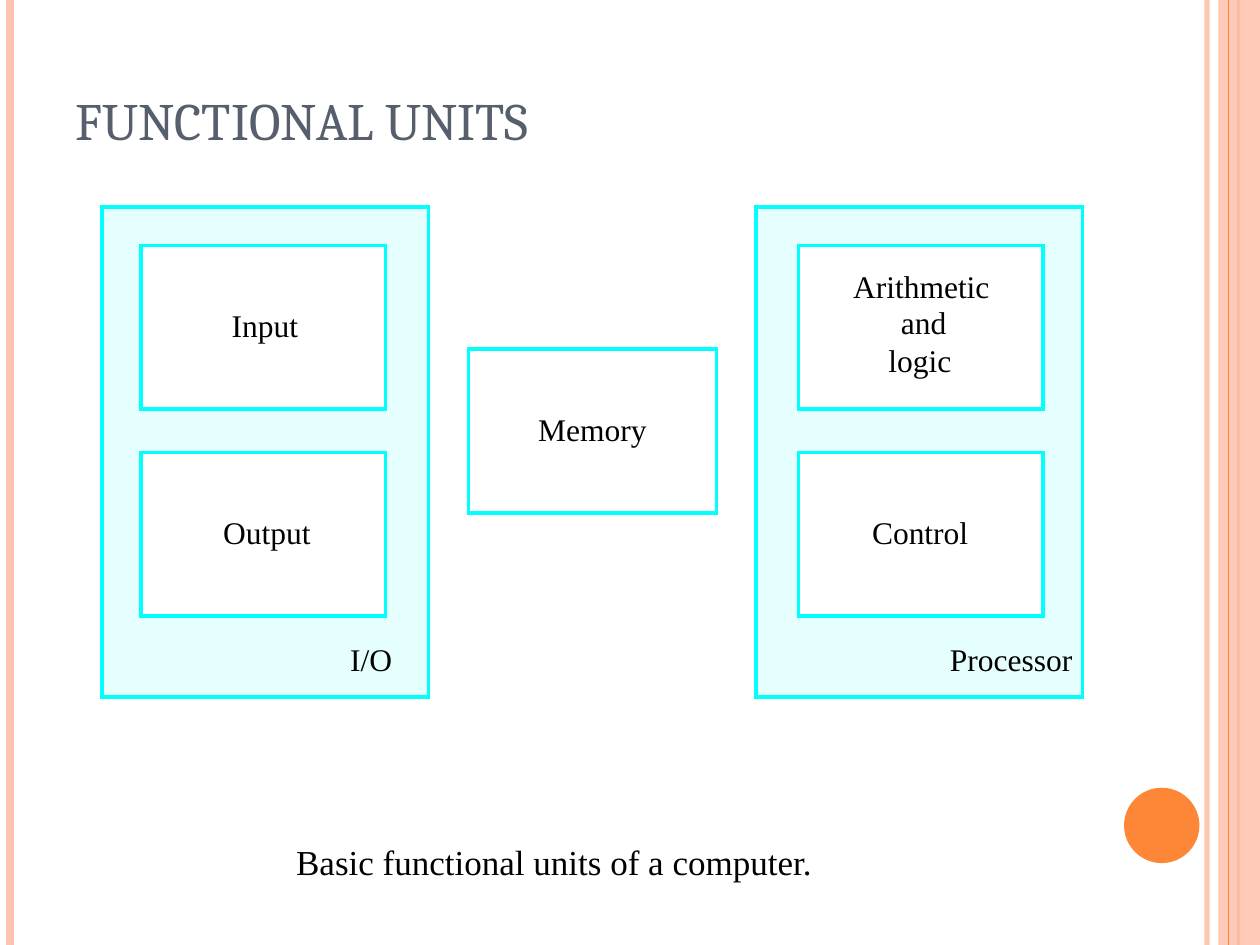
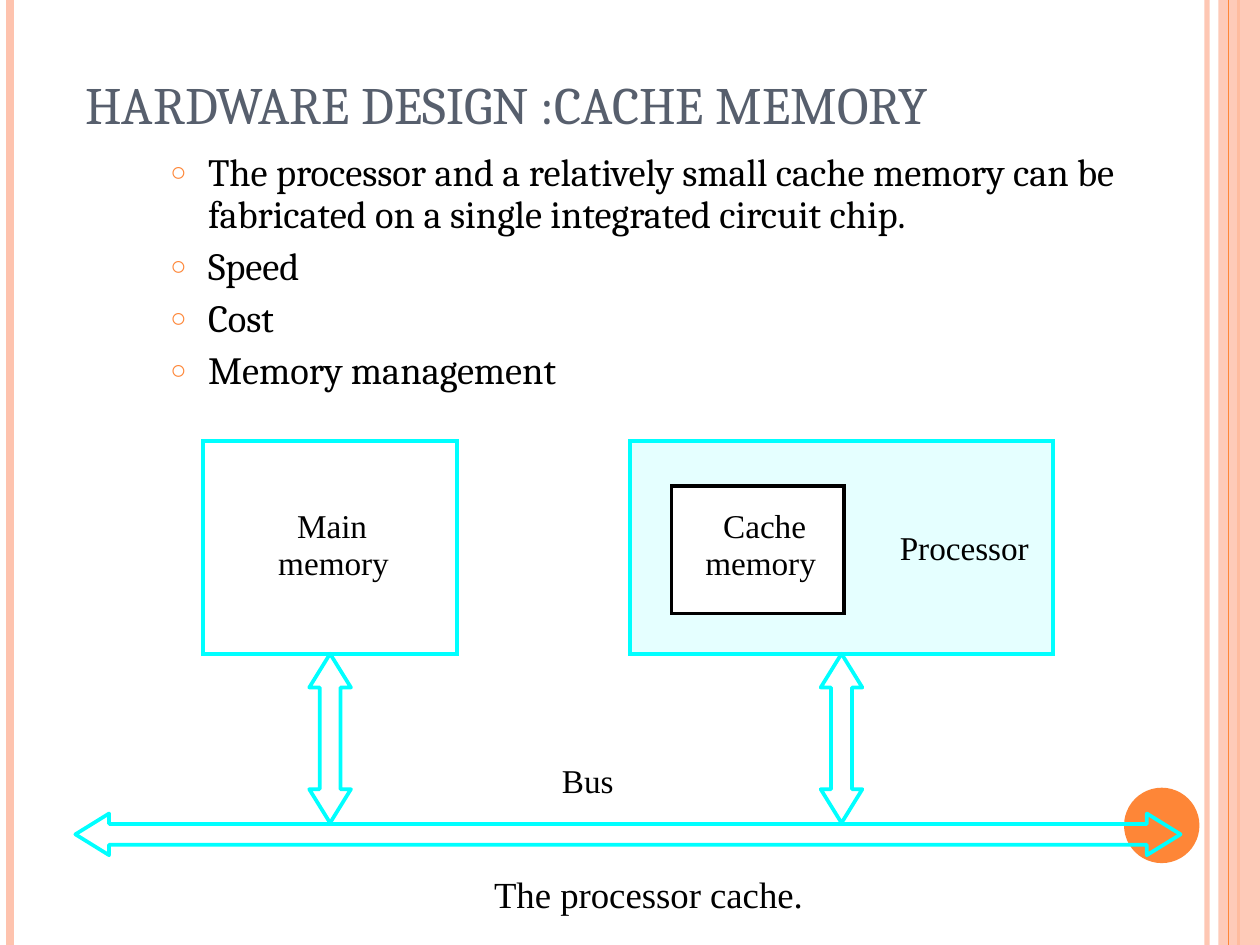
import pptx
import pptx.dml.color
import pptx.enum.shapes
import pptx.enum.text
import pptx.oxml
import pptx.oxml.ns
import pptx.util
from dataclasses import dataclass

Cm = pptx.util.Cm
Pt = pptx.util.Pt
Shape = pptx.enum.shapes.MSO_SHAPE
Anchor = pptx.enum.text.MSO_ANCHOR


@dataclass(frozen=True)
class Theme:
    peach: str = "FEC3AE"
    orange: str = "FE8637"
    slate: str = "575F6D"
    cyan: str = "00FFFF"
    ice: str = "E5FFFF"
    white: str = "FFFFFF"
    black: str = "000000"
    heading_font: str = "Cambria"
    label_font: str = "Times New Roman"
    title_size: int = 30
    body_size: int = 22


THEME = Theme()
WIDTH, HEIGHT = 25.4, 19.05
LABEL_SLACK = 0.2

UNITS = {
    "title": "FUNCTIONAL UNITS",
    "title_place": (1.27, 0, 20.75, 3.18),
    "outline": 2,
    "label_size": 18,
    "labels": [
        ("Input", 4.67, 6.17, 1.35),
        ("Output", 4.5, 10.34, 1.78),
        ("I/O", 7.06, 12.9, 0.84),
        ("Memory", 10.85, 8.26, 2.18),
        ("Arithmetic", 17.2, 5.38, 2.74),
        ("and", 18.16, 6.1, 0.91),
        ("logic", 17.91, 6.88, 1.27),
        ("Control", 17.58, 10.34, 1.93),
        ("Processor", 19.15, 12.9, 2.46),
    ],
    "caption": ("Basic functional units of a computer.", 5.97, 16.94, 10.44),
    "caption_size": 20,
}

CACHE = {
    "title": "HARDWARE DESIGN :CACHE MEMORY",
    "title_place": (1.47, 1.27, 20.75, 1.57),
    "bullets": [
        "The processor and a relatively small cache memory can be "
        "fabricated on a single integrated circuit chip.",
        "Speed",
        "Cost",
        "Memory management",
    ],
    "bullets_place": (1.91, 2.97, 21.39, 5.51),
    "outline": 2.13,
    "label_size": 19,
    "labels": [
        ("Main", 5.99, 10.19, 1.42),
        ("memory", 5.61, 10.94, 2.24),
        ("Cache", 14.58, 10.19, 1.68),
        ("memory", 14.22, 10.94, 2.24),
        ("Processor", 18.14, 10.62, 2.59),
        ("Bus", 11.33, 15.32, 1.04),
    ],
    "caption": ("The processor cache.", 9.96, 17.58, 6.22),
    "caption_size": 21,
}


def rgb(color):
    return pptx.dml.color.RGBColor.from_string(color)


def add_child(parent, tag, **attributes):
    child = parent.makeelement(pptx.oxml.ns.qn(tag), attributes)
    parent.append(child)
    return child


def set_alpha(shape, percent):
    color = shape._element.spPr.find(".//" + pptx.oxml.ns.qn("a:srgbClr"))
    add_child(color, "a:alpha", val=str(percent * 1000))


def paint(shape, fill=None, line=None, width=2):
    shape.shadow.inherit = False
    if fill:
        shape.fill.solid()
        shape.fill.fore_color.rgb = rgb(fill)
    else:
        shape.fill.background()
    if line:
        shape.line.color.rgb = rgb(line)
        shape.line.width = Pt(width)
    else:
        shape.line.fill.background()


def draw_shape(page, kind, place, fill=None):
    shape = page.shapes.add_shape(kind, *map(Cm, place))
    paint(shape, fill)
    return shape


def draw_block(page, place, fill, line, width):
    block = draw_shape(page, Shape.RECTANGLE, place)
    paint(block, fill, line, width)
    outline = block._element.spPr.find(pptx.oxml.ns.qn("a:ln"))
    add_child(outline, "a:miter", lim="800000")


def draw_rule(page, left, color, width):
    rule = page.shapes.add_connector(
        pptx.enum.shapes.MSO_CONNECTOR.STRAIGHT, Cm(left), 0, Cm(left), Cm(HEIGHT))
    rule.line.color.rgb = rgb(color)
    rule.line.width = Pt(width)
    add_child(rule._element.spPr, "a:effectLst")
    return rule


def draw_frame(page):
    set_alpha(draw_rule(page, 24.33, THEME.peach, 3), 93)
    draw_rule(page, 0.2, THEME.peach, 4.5)
    draw_rule(page, 24.97, THEME.orange, 1.5)
    band = draw_shape(page, Shape.RECTANGLE, (24.56, 0, WIDTH - 24.56, HEIGHT), THEME.peach)
    set_alpha(band, 87)
    draw_rule(page, 24.77, THEME.orange, 0.75)
    draw_shape(page, Shape.OVAL, (22.66, 15.88, 1.52, 1.52), THEME.orange)


def write(para, text, font, size, color):
    span = para.add_run()
    span.text = text
    span.font.name = font
    span.font.size = Pt(size)
    span.font.color.rgb = rgb(color)


def fit_placeholder(box, place, anchor):
    box.left, box.top, box.width, box.height = map(Cm, place)
    frame = box.text_frame
    frame.word_wrap = True
    frame.auto_size = pptx.enum.text.MSO_AUTO_SIZE.NONE
    frame.vertical_anchor = anchor
    return frame


def start_page(deck, layout, content):
    page = deck.slides.add_slide(deck.slide_layouts.get_by_name(layout))
    draw_frame(page)
    frame = fit_placeholder(page.shapes.title, content["title_place"], Anchor.BOTTOM)
    para = frame.paragraphs[0]
    para.alignment = pptx.enum.text.PP_ALIGN.LEFT
    write(para, content["title"], THEME.heading_font, THEME.title_size, THEME.slate)
    return page


def write_label(page, text, left, top, width, size):
    box = page.shapes.add_textbox(
        Cm(left), Cm(top), Cm(width + LABEL_SLACK), Pt(size * 1.2))
    frame = box.text_frame
    frame.margin_left = frame.margin_right = frame.margin_top = frame.margin_bottom = 0
    frame.word_wrap = False
    frame.auto_size = pptx.enum.text.MSO_AUTO_SIZE.NONE
    write(frame.paragraphs[0], text, THEME.label_font, size, THEME.black)


def write_labels(page, content):
    for label in content["labels"]:
        write_label(page, *label, content["label_size"])
    write_label(page, *content["caption"], content["caption_size"])


def write_bullets(page, content):
    frame = fit_placeholder(page.placeholders[1], content["bullets_place"], Anchor.TOP)
    for index, text in enumerate(content["bullets"]):
        para = frame.add_paragraph() if index else frame.paragraphs[0]
        para.level = 1
        para.line_spacing = 0.9
        para.space_before = Pt(6 if index else 0)
        properties = para._p.get_or_add_pPr()
        properties.set("marL", str(Cm(2.03)))
        properties.set("indent", str(Cm(-0.76)))
        add_child(add_child(properties, "a:buClr"), "a:srgbClr", val=THEME.orange)
        add_child(properties, "a:buSzPct", val="70000")
        add_child(properties, "a:buChar", char="○")
        write(para, text, THEME.heading_font, THEME.body_size, THEME.black)


def draw_arrow(page, start, end, middle, vertical, width):
    head, half_head, half_shaft = 0.68, 0.42, 0.21
    near, far = start + head, end - head
    points = [
        (start, middle),
        (near, middle - half_head), (near, middle - half_shaft),
        (far, middle - half_shaft), (far, middle - half_head),
        (end, middle),
        (far, middle + half_head), (far, middle + half_shaft),
        (near, middle + half_shaft), (near, middle + half_head),
    ]
    if vertical:
        points = [(x, y) for y, x in points]
    corners = [(Cm(x), Cm(y)) for x, y in points]
    builder = page.shapes.build_freeform(*corners[0])
    builder.add_line_segments(corners[1:], close=True)
    paint(builder.convert_to_shape(), None, THEME.cyan, width)


def build_units(deck):
    page = start_page(deck, "Title Only", UNITS)
    outline = UNITS["outline"]
    for panel_left, unit_left in ((2.06, 2.84), (15.24, 16.1)):
        draw_block(page, (panel_left, 4.17, 6.58, 9.88), THEME.ice, THEME.cyan, outline)
        for unit_top in (4.95, 9.12):
            draw_block(page, (unit_left, unit_top, 4.93, 3.3),
                       THEME.white, THEME.cyan, outline)
    draw_block(page, (9.45, 7.04, 5, 3.3), None, THEME.cyan, outline)
    write_labels(page, UNITS)


def build_cache(deck):
    page = start_page(deck, "Title and Content", CACHE)
    write_bullets(page, CACHE)
    outline = CACHE["outline"]
    top, height, bus_middle = 8.89, 4.29, 16.82
    for left, width, fill in ((4.09, 5.13, None), (12.7, 8.53, THEME.ice)):
        draw_block(page, (left, top, width, height), fill, THEME.cyan, outline)
        draw_arrow(page, top + height, bus_middle - 0.23, left + width / 2, True, outline)
    draw_block(page, (13.54, 9.8, 3.48, 2.57), THEME.white, THEME.black, outline)
    draw_arrow(page, 1.52, 23.8, bus_middle, False, outline)
    write_labels(page, CACHE)


def main():
    deck = pptx.Presentation()
    deck.slide_width, deck.slide_height = Cm(WIDTH), Cm(HEIGHT)
    build_units(deck)
    build_cache(deck)
    deck.save("out.pptx")


if __name__ == "__main__":
    main()
